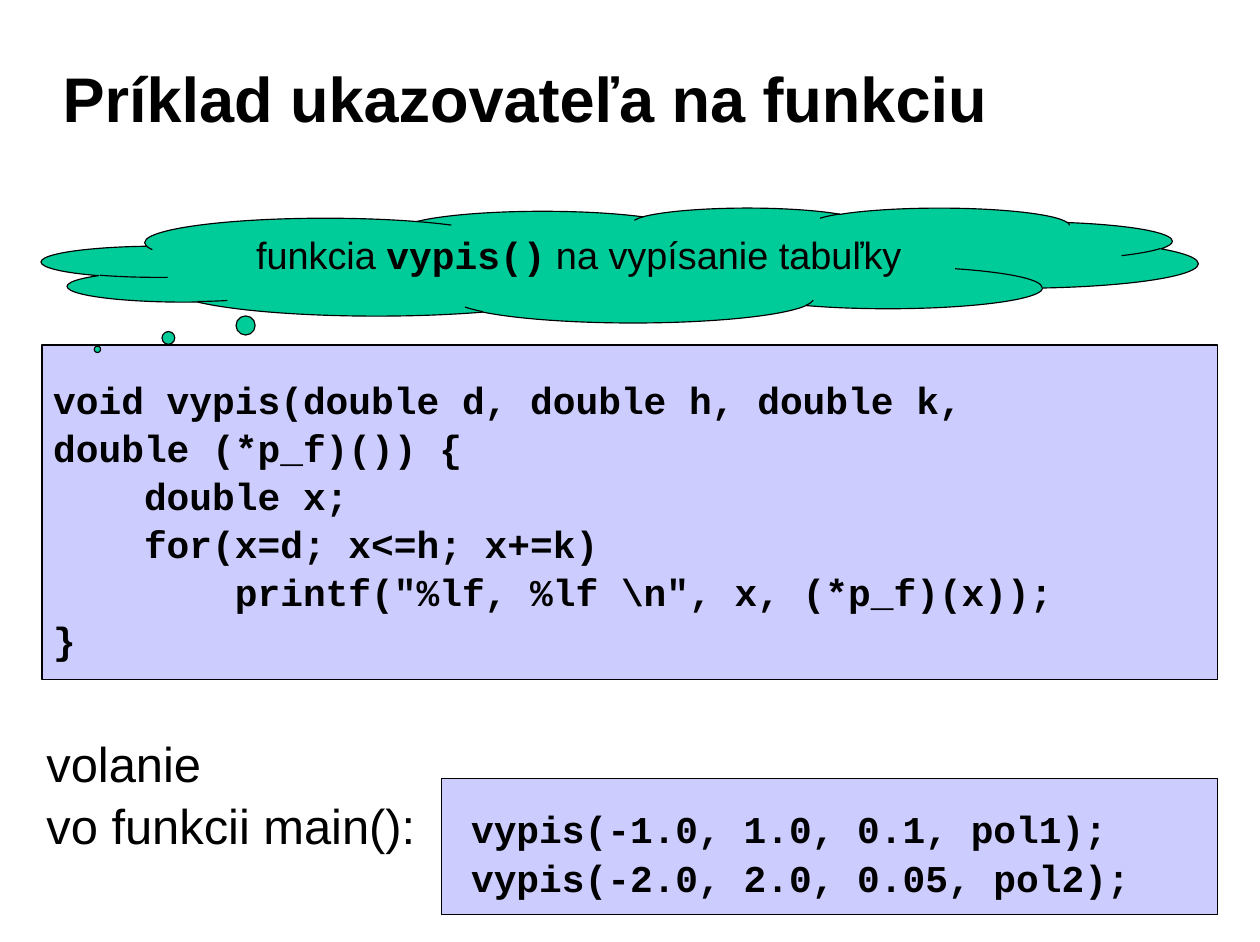
from pptx import Presentation
from pptx.dml.color import RGBColor
from pptx.enum.shapes import MSO_SHAPE as Kind
from pptx.enum.text import MSO_ANCHOR as Anchor, PP_ALIGN as Align
from pptx.util import Cm, Pt

BLACK = RGBColor(0x00, 0x00, 0x00)
LILAC = RGBColor(0xCC, 0xCC, 0xFF)
GREEN = RGBColor(0x00, 0xCC, 0x99)
SANS = "Arial"
MONO = "Courier New"

CODE = r"""void vypis(double d, double h, double k,
double (*p_f)()) {
    double x;
    for(x=d; x<=h; x+=k)
        printf("%lf, %lf \n", x, (*p_f)(x));
}"""
CALL = """vypis(-1.0, 1.0, 0.1, pol1);
vypis(-2.0, 2.0, 0.05, pol2);"""
CLOUD = [("funkcia ", SANS, False), ("vypis()", MONO, True),
         (" na vypísanie tabuľky", SANS, False)]


def write(shape, text, size=24, font=SANS, bold=False, align=Align.LEFT,
          anchor=Anchor.TOP, pad=(0.25, 0.13), wrap=True, gap=1.0):
    frame = shape.text_frame
    frame.word_wrap = wrap
    frame.vertical_anchor = anchor
    frame.margin_left = frame.margin_right = Cm(pad[0])
    frame.margin_top = frame.margin_bottom = Cm(pad[1])
    if isinstance(text, str):
        lines = [[(line, font, bold)] for line in text.split("\n")]
    else:
        lines = [text]
    for num, line in enumerate(lines):
        par = frame.add_paragraph() if num else frame.paragraphs[0]
        par.alignment = align
        par.line_spacing = gap
        par.space_before = par.space_after = Pt(0)
        for words, face, heavy in line:
            run = par.add_run()
            run.text = words
            run.font.name = face
            run.font.size = Pt(size)
            run.font.bold = heavy
            run.font.color.rgb = BLACK


def add_form(slide, kind, place, fill):
    shape = slide.shapes.add_shape(kind, *map(Cm, place))
    shape.shadow.inherit = False
    shape.fill.solid()
    shape.fill.fore_color.rgb = fill
    shape.line.color.rgb = BLACK
    shape.line.width = Pt(0.75)
    return shape


def add_code(slide, place, text, pad):
    panel = add_form(slide, Kind.RECTANGLE, place, LILAC)
    write(panel, text, font=MONO, bold=True, pad=pad, gap=1.06)


def add_title(slide, place, text):
    title = slide.shapes.title
    title.left, title.top, title.width, title.height = map(Cm, place)
    write(title, text, size=40, bold=True, anchor=Anchor.MIDDLE,
          pad=(0.28, 0.15))


def add_note(slide, place, text):
    note = slide.shapes.add_textbox(*map(Cm, place))
    write(note, text, size=31, wrap=False, gap=1.05)


def add_cloud(slide, place, text):
    cloud = add_form(slide, Kind.CLOUD_CALLOUT, place, GREEN)
    cloud.adjustments[0] = -0.452
    cloud.adjustments[1] = 0.733
    write(cloud, text, align=Align.CENTER, pad=(0.28, 0.15))


def main():
    deck = Presentation()
    deck.slide_width, deck.slide_height = Cm(28.19), Cm(21.08)
    slide = deck.slides.add_slide(deck.slide_layouts[5])
    add_title(slide, (1.12, 0.89, 22.63, 2.59), "Príklad ukazovateľa na funkciu")
    add_code(slide, (9.88, 17.42, 17.37, 3.05), CALL, (0.66, 0.56))
    add_note(slide, (0.79, 16.23, 8.76, 2.9), "volanie\nvo funkcii main():")
    add_code(slide, (0.94, 7.72, 26.31, 7.49), CODE, (0.25, 0.64))
    add_cloud(slide, (0.94, 4.65, 25.86, 2.57), CLOUD)
    deck.save("out.pptx")


if __name__ == "__main__":
    main()
